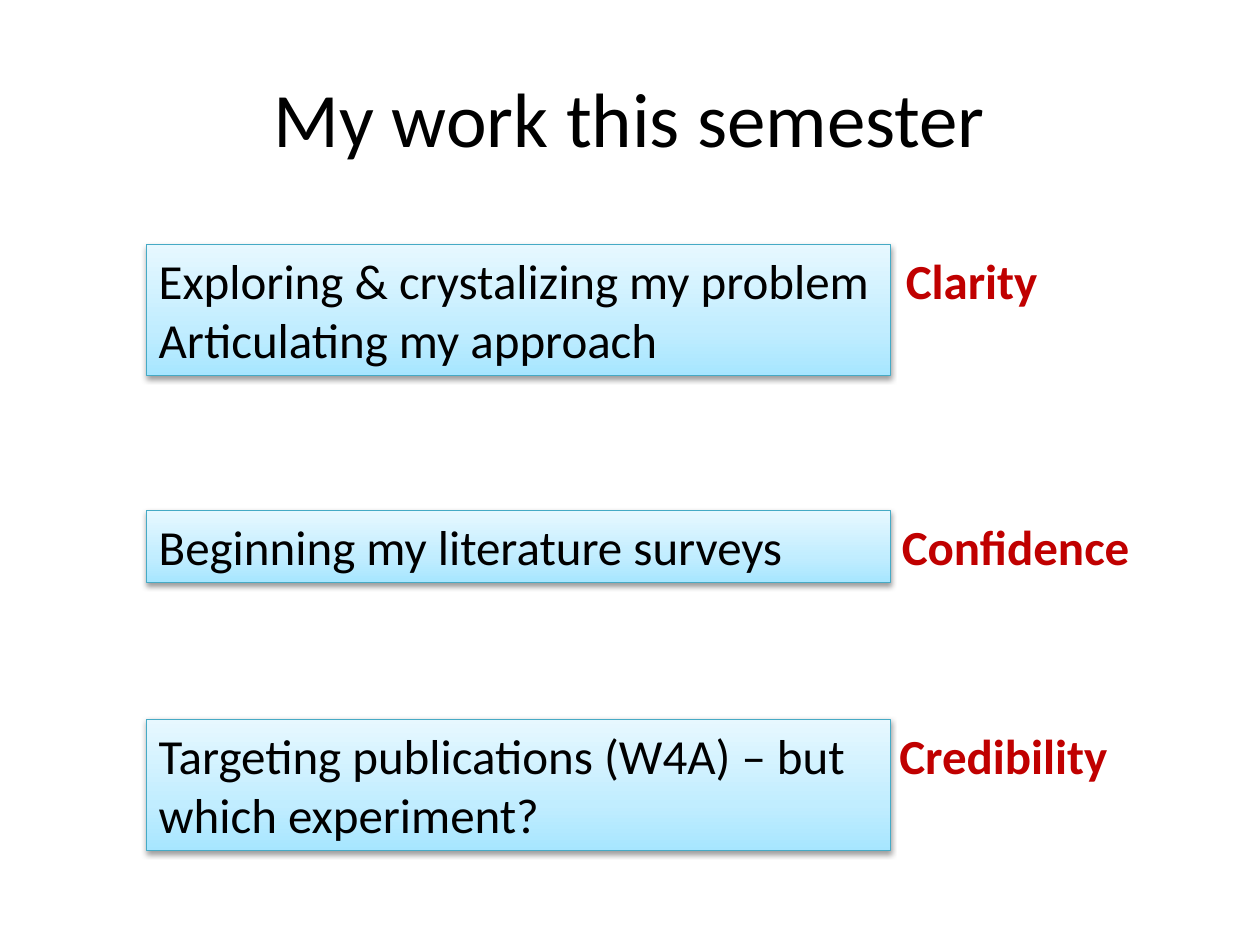
import copy

import pptx
import pptx.dml.color
import pptx.enum.shapes
import pptx.enum.text
import pptx.oxml
import pptx.oxml.ns
import pptx.util

Cm = pptx.util.Cm
Pt = pptx.util.Pt
RGBColor = pptx.dml.color.RGBColor

BLACK = RGBColor(0x00, 0x00, 0x00)
RED = RGBColor(0xC0, 0x00, 0x00)
TEAL = RGBColor(0x46, 0xAA, 0xC5)
SKY_STOPS = [
    (0, RGBColor(0xA7, 0xE6, 0xFF)),
    (0.35, RGBColor(0xC1, 0xED, 0xFF)),
    (1, RGBColor(0xE7, 0xF8, 0xFF)),
]
FONT = "Calibri"

TASK_LEFT, TASK_WIDTH = 2.95, 15.01
# task, top, height, benefit, gap before the benefit, benefit width (cm)
ROWS = [
    ("Exploring & crystalizing my problem\nArticulating my approach",
     4.93, 2.64, "Clarity", 0.05, 3.2),
    ("Beginning my literature surveys",
     10.29, 1.45, "Confidence", -0.03, 5.16),
    ("Targeting publications (W4A) – but which experiment?",
     14.5, 2.64, "Credibility", -0.08, 4.75),
]

SHADOW_XML = (
    f'<a:outerShdw {pptx.oxml.ns.nsdecls("a")} blurRad="40000" dist="20000" '
    'dir="5400000" rotWithShape="0"><a:srgbClr val="000000">'
    '<a:alpha val="38000"/></a:srgbClr></a:outerShdw>'
)


def format_text(frame, size, color, align, bold=False):
    for para in frame.paragraphs:
        para.alignment = align
        for span in para.runs:
            span.font.name = FONT
            span.font.size = Pt(size)
            span.font.bold = bold
            span.font.color.rgb = color


def add_title(page, left, top, width, height):
    title = page.shapes.title
    title.left, title.top = Cm(left), Cm(top)
    title.width, title.height = Cm(width), Cm(height)
    title.text_frame.text = "My work this semester"
    title.text_frame.vertical_anchor = pptx.enum.text.MSO_ANCHOR.MIDDLE
    format_text(title.text_frame, 44, BLACK, pptx.enum.text.PP_ALIGN.CENTER)


def style_task(box):
    """Give the box its sky gradient, teal outline and soft shadow."""
    box.fill.gradient()
    box.fill.gradient_angle = 90
    properties = box._element.spPr
    stop_list = properties.find(".//" + pptx.oxml.ns.qn("a:gsLst"))
    stop_list.append(copy.deepcopy(stop_list[0]))
    for stop, (position, color) in zip(box.fill.gradient_stops, SKY_STOPS):
        stop.position = position
        stop.color.rgb = color
    box.line.color.rgb = TEAL
    box.line.width = Pt(0.75)
    box.shadow.inherit = False
    effects = properties.find(pptx.oxml.ns.qn("a:effectLst"))
    effects.append(pptx.oxml.parse_xml(SHADOW_XML))


def fill_text(box, text, color, bold, wrap):
    frame = box.text_frame
    frame.text = text
    frame.word_wrap = wrap
    frame.auto_size = pptx.enum.text.MSO_AUTO_SIZE.SHAPE_TO_FIT_TEXT
    frame.vertical_anchor = pptx.enum.text.MSO_ANCHOR.TOP
    format_text(frame, 28, color, pptx.enum.text.PP_ALIGN.LEFT, bold)


def add_row(page, left, top, width, height, task, benefit, gap, benefit_width):
    """Place a task box with its benefit to the right."""
    label = page.shapes.add_textbox(
        Cm(left + width + gap), Cm(top), Cm(benefit_width), Cm(1.45))
    fill_text(label, benefit, RED, bold=True, wrap=False)
    box = page.shapes.add_shape(
        pptx.enum.shapes.MSO_SHAPE.RECTANGLE,
        Cm(left), Cm(top), Cm(width), Cm(height))
    style_task(box)
    fill_text(box, task, BLACK, bold=False, wrap=True)


def main():
    deck = pptx.Presentation()
    deck.slide_width, deck.slide_height = Cm(25.4), Cm(19.05)
    page = deck.slides.add_slide(deck.slide_layouts[5])
    add_title(page, 1.27, 0.76, 22.86, 3.18)
    for task, top, height, benefit, gap, benefit_width in ROWS:
        add_row(page, TASK_LEFT, top, TASK_WIDTH, height,
                task, benefit, gap, benefit_width)
    deck.save("out.pptx")


if __name__ == "__main__":
    main()
